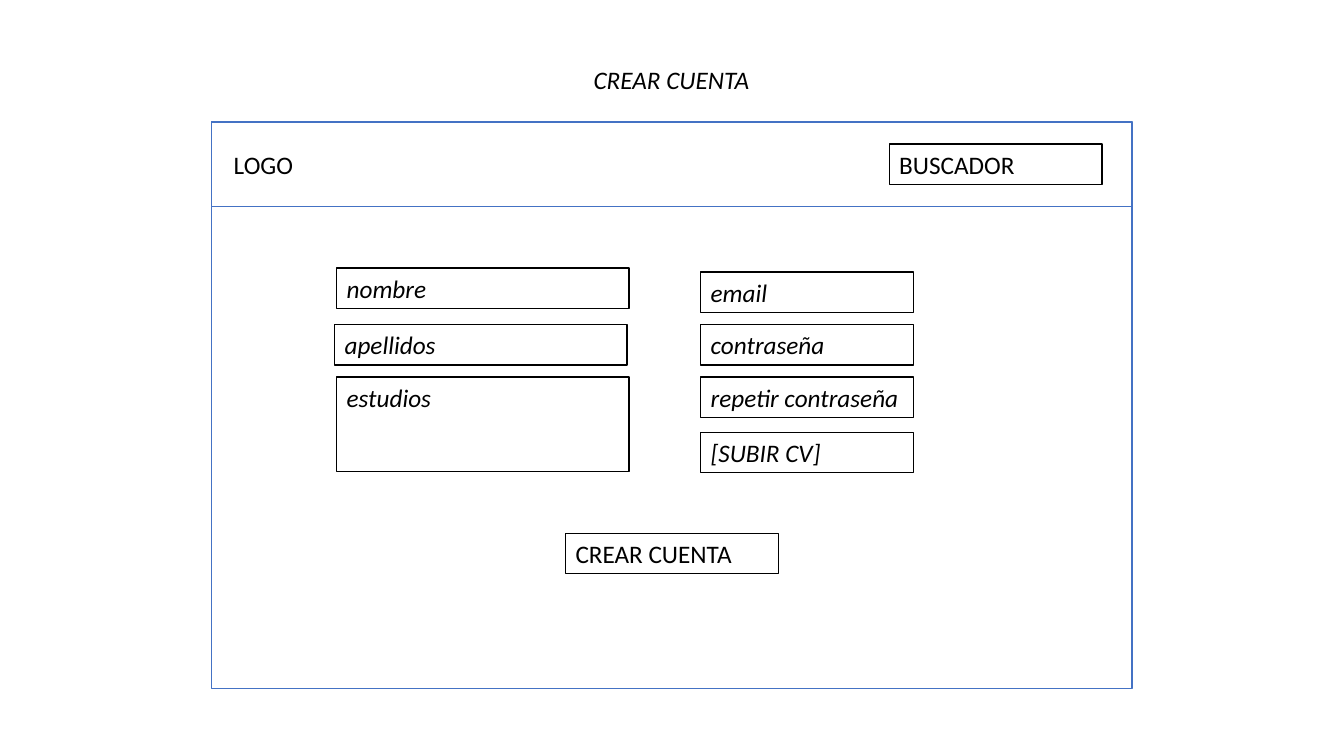
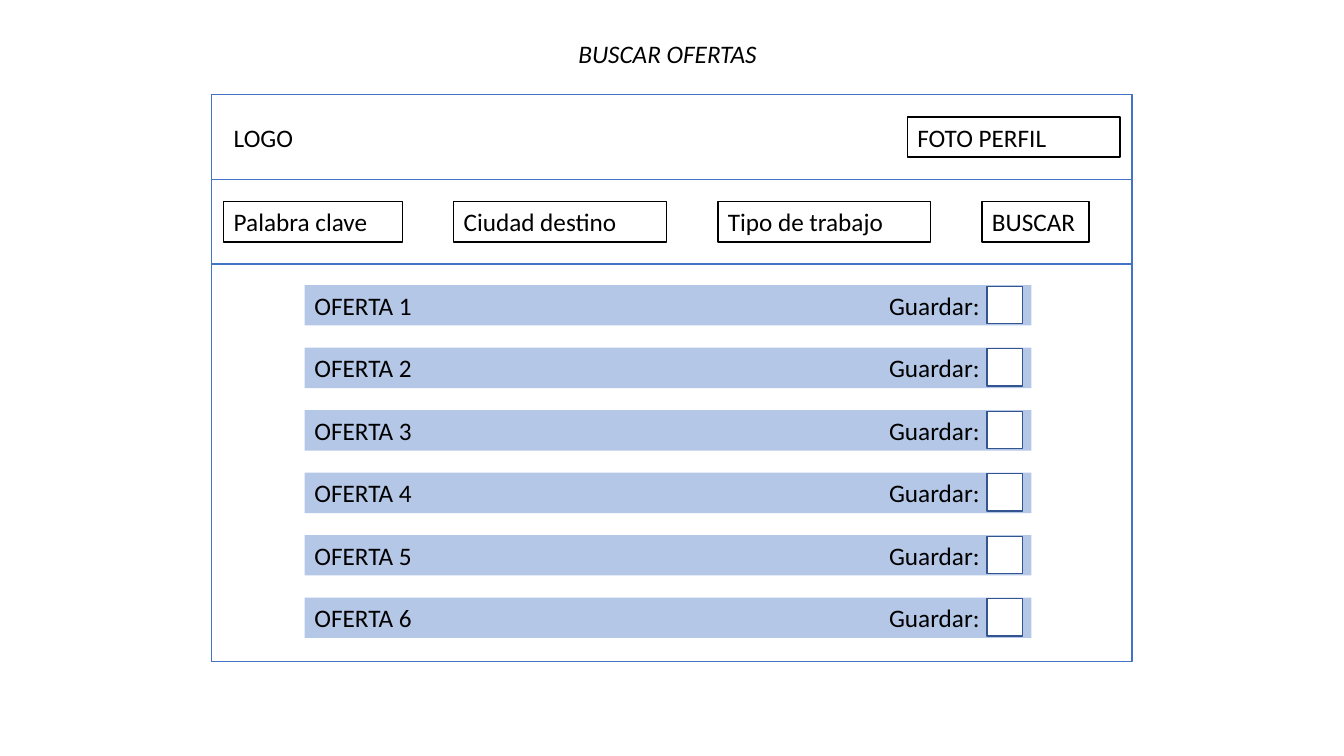
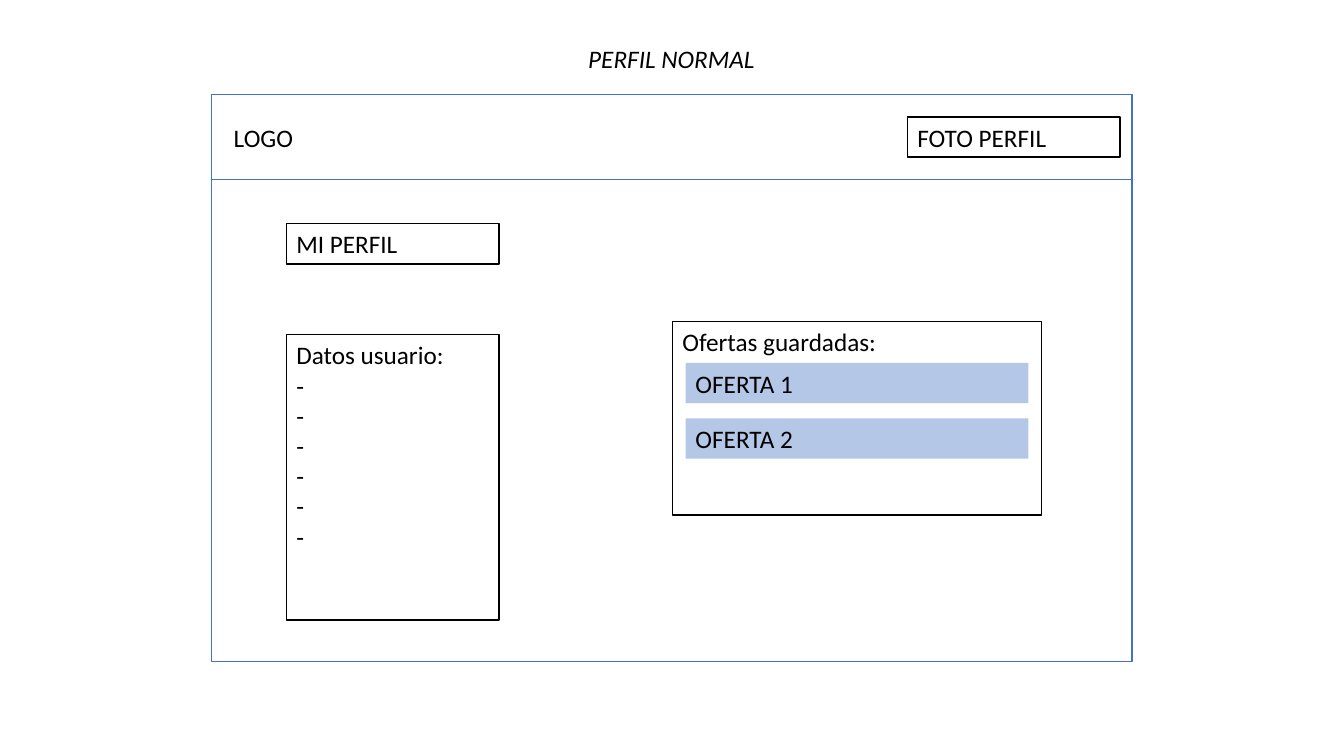
from pptx import Presentation
from pptx.dml.color import RGBColor
from pptx.enum.shapes import MSO_SHAPE
from pptx.enum.text import MSO_ANCHOR, PP_ALIGN
from pptx.util import Inches, Pt

FONT, SIZE = "Calibri", 18
BLACK, WHITE = "000000", "FFFFFF"
FRAME_BLUE, CHECK_BLUE, OFFER_BLUE = "4472C4", "325491", "B4C7E7"

ROW_HEIGHT = 0.4
FIELD_WIDTH = 2.11
WINDOW_LEFT, WINDOW_WIDTH, WINDOW_HEIGHT = 2.1, 9.13, 5.62
BAND_HEIGHT = 0.84
BAND_PADDING = 0.22
LOGO_LEFT = 2.22
TITLE_WIDTH, LABEL_WIDTH = 2.66, 1.23

# Account form: text, left, top, width, height
ACCOUNT_FIELDS = [
    ("email", 6.95, 2.7, FIELD_WIDTH, ROW_HEIGHT),
    ("contraseña", 6.95, 3.22, FIELD_WIDTH, ROW_HEIGHT),
    ("repetir contraseña", 6.95, 3.74, FIELD_WIDTH, ROW_HEIGHT),
    ("[SUBIR CV]", 6.95, 4.29, FIELD_WIDTH, ROW_HEIGHT),
    ("nombre", 3.34, 2.66, 2.9, ROW_HEIGHT),
    ("apellidos", 3.32, 3.22, 2.9, ROW_HEIGHT),
    ("estudios", 3.34, 3.74, 2.9, 0.94),
]

# Search bar: text and width, laid out from left to right
SEARCH_FIELDS = [("Palabra clave", 1.77), ("Ciudad destino", FIELD_WIDTH),
                 ("Tipo de trabajo", FIELD_WIDTH), ("BUSCAR", 1.06)]
SEARCH_GAP = 0.51

OFFERS = [f"OFERTA {number}" for number in range(1, 7)]
OFFERS_TOP, OFFERS_PITCH = 2.83, 0.62
SAVE_LABEL = "Guardar:"

USER_DATA = ["Datos usuario:"] + ["-"] * 6
SAVED_OFFERS = OFFERS[:2]
SAVED_TOP, SAVED_PITCH = 3.6, 0.55


def color(hex_code):
    """Turn a hex string into a colour."""
    return RGBColor.from_string(hex_code)


def write(frame, text, italic=False, align=PP_ALIGN.LEFT):
    """Fill a text frame, one paragraph for each line of text."""
    frame.word_wrap = True
    frame.vertical_anchor = MSO_ANCHOR.TOP
    frame.text = text
    for paragraph in frame.paragraphs:
        paragraph.alignment = align
        font = paragraph.font
        font.name, font.size, font.italic = FONT, Pt(SIZE), italic
        font.color.rgb = color(BLACK)


def box(slide, left, top, width, height=ROW_HEIGHT, text="", fill=WHITE,
        line=BLACK, **text_format):
    """Draw a rectangle, with text if there is any; line=None leaves no outline."""
    rectangle = slide.shapes.add_shape(
        MSO_SHAPE.RECTANGLE, Inches(left), Inches(top), Inches(width), Inches(height))
    rectangle.shadow.inherit = False
    rectangle.fill.solid()
    rectangle.fill.fore_color.rgb = color(fill)
    if line:
        rectangle.line.color.rgb = color(line)
        rectangle.line.width = Pt(1)
    else:
        rectangle.line.fill.background()
    if text:
        write(rectangle.text_frame, text, **text_format)


def label(slide, text, left, top, width=LABEL_WIDTH, **text_format):
    """Place text without a frame."""
    textbox = slide.shapes.add_textbox(
        Inches(left), Inches(top), Inches(width), Inches(ROW_HEIGHT))
    write(textbox.text_frame, text, **text_format)


def band(slide, top):
    """Draw a full-width band of the window."""
    box(slide, WINDOW_LEFT, top, WINDOW_WIDTH, BAND_HEIGHT, line=FRAME_BLUE)


def page(title, title_left, title_top, window_top, corner, corner_left):
    """Add a slide with its title, window, header band, logo word and corner box."""
    slide = prs.slides.add_slide(prs.slide_layouts[6])
    box(slide, WINDOW_LEFT, window_top, WINDOW_WIDTH, WINDOW_HEIGHT, line=FRAME_BLUE)
    band(slide, window_top)
    header_top = window_top + BAND_PADDING
    label(slide, "LOGO", LOGO_LEFT, header_top)
    box(slide, corner_left, header_top, FIELD_WIDTH, text=corner)
    label(slide, title, title_left, title_top, TITLE_WIDTH,
          italic=True, align=PP_ALIGN.CENTER)
    return slide


def build_account():
    """Slide for creating an account."""
    slide = page("CREAR CUENTA", 5.33, 0.59, 1.21, "BUSCADOR", 8.82)
    for text, left, top, width, height in ACCOUNT_FIELDS:
        box(slide, left, top, width, height, text, italic=True)
    box(slide, 5.61, 5.29, FIELD_WIDTH, text="CREAR CUENTA")


def build_search():
    """Slide for searching offers."""
    window_top = 0.94
    slide = page("BUSCAR OFERTAS", 5.29, 0.33, window_top, "FOTO PERFIL", 9)
    search_top = window_top + BAND_HEIGHT
    band(slide, search_top)
    left = LOGO_LEFT
    for text, width in SEARCH_FIELDS:
        box(slide, left, search_top + BAND_PADDING, width, text=text)
        left += width + SEARCH_GAP
    for row, offer in enumerate(OFFERS):
        top = OFFERS_TOP + row * OFFERS_PITCH
        box(slide, 3.02, top, 7.21, text=offer, fill=OFFER_BLUE, line=None)
        box(slide, 9.79, top + 0.01, 0.35, 0.37, line=CHECK_BLUE)
        label(slide, SAVE_LABEL, 8.72, top)


def build_profile():
    """Slide with the user's profile."""
    slide = page("PERFIL NORMAL", 5.33, 0.38, 0.94, "FOTO PERFIL", 9)
    box(slide, 2.84, 2.22, FIELD_WIDTH, text="MI PERFIL")
    box(slide, 2.84, 3.32, FIELD_WIDTH, 2.83, "\n".join(USER_DATA))
    box(slide, 6.67, 3.19, 3.66, 1.92, "Ofertas guardadas:")
    for row, offer in enumerate(SAVED_OFFERS):
        box(slide, 6.8, SAVED_TOP + row * SAVED_PITCH, 3.4, text=offer,
            fill=OFFER_BLUE, line=None)


prs = Presentation()
prs.slide_width, prs.slide_height = Inches(13.33), Inches(7.5)
build_account()
build_search()
build_profile()
prs.save("out.pptx")
